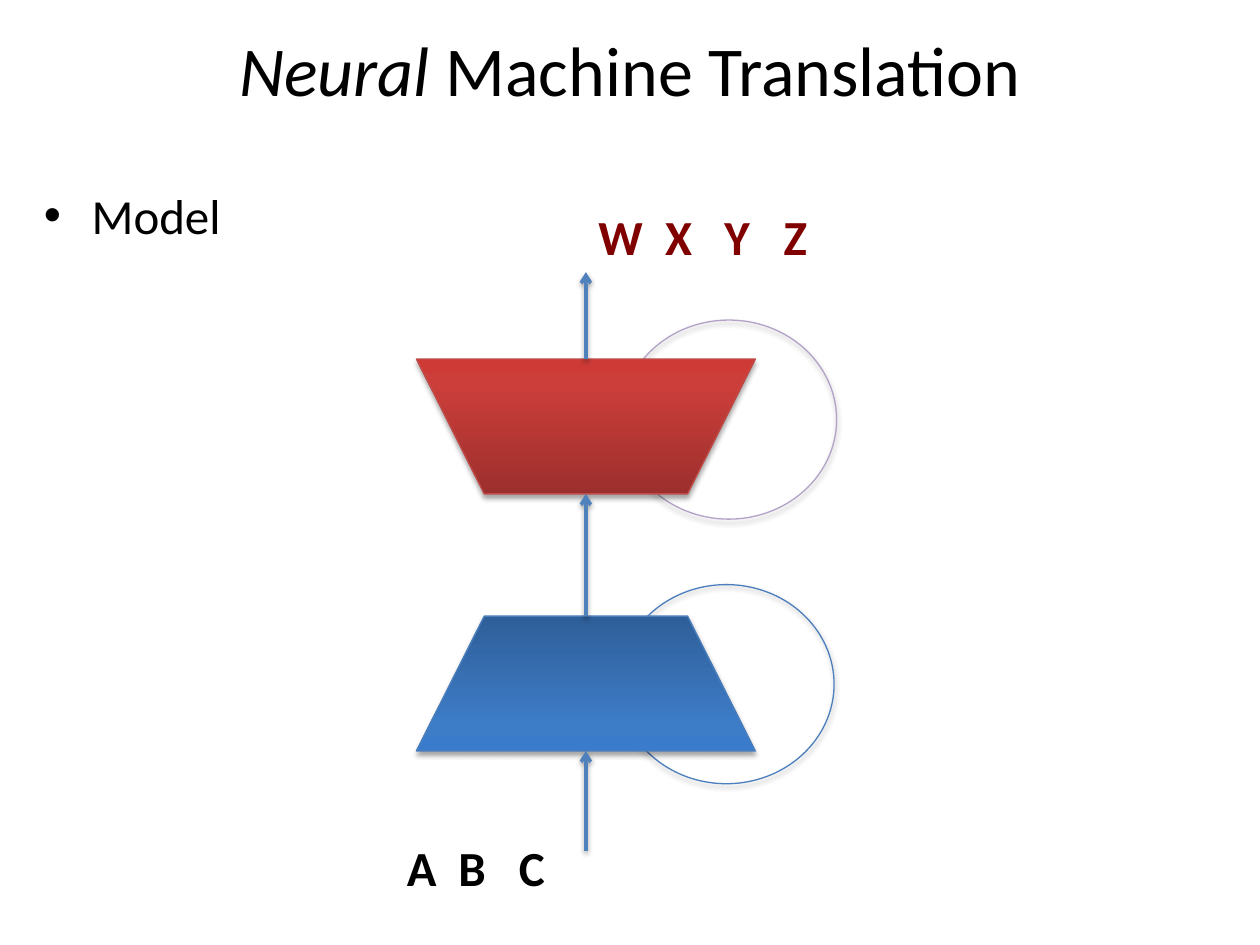
from lxml import etree
from pptx import Presentation
from pptx import util as u
from pptx.dml.color import RGBColor
from pptx.enum import shapes, text
from pptx.oxml import ns

# The slide is a grid of 100 columns by 75 rows.
COLS, ROWS = 100, 75
CELL = u.Inches(0.1)
AXIS = 46.5  # column of the arrows

THEME = {
    "font": "Calibri",
    "title": 40,
    "body": 28,
    "ink": "000000",
    "output": "800000",
    "arrow": "4F81BD",
    "blue": "4B7EBC",
    "red": "BF4C48",
    "lilac": "B3A2C7",
    "blues": [(0, "2F5F99"), (80, "3D7CC7"), (100, "3A7CCB")],
    "reds": [(0, "9C2F2D"), (80, "CB3E3A"), (100, "CE3B37")],
}


def cells(*sizes):
    return [round(size * CELL) for size in sizes]


def child(parent, tag, **attrs):
    node = etree.SubElement(parent, ns.qn(tag))
    for name, value in attrs.items():
        node.set(name, str(value))
    return node


def tint(parent, color, alpha=None):
    node = child(parent, "a:srgbClr", val=color)
    if alpha:
        child(node, "a:alpha", val=alpha * 1000)


def outline(item, color, width):
    item.line.color.rgb = RGBColor.from_string(color)
    item.line.width = u.Pt(width)


def shade(item, alpha, drop):
    """Add a soft shadow straight below the item."""
    effects = child(item._element.spPr, "a:effectLst")
    outer = child(effects, "a:outerShdw", blurRad=u.Pt(3.1), dist=u.Pt(drop),
                  dir=90 * 60000, rotWithShape=0)
    tint(outer, "000000", alpha)


def blend(shape, stops):
    """Fill from the bottom upward through the given stops."""
    shape.fill.gradient()
    shape.fill.gradient_angle = 90
    ramp = shape._element.spPr.find(".//" + ns.qn("a:gsLst"))
    for old in list(ramp):
        ramp.remove(old)
    for spot, color in stops:
        tint(child(ramp, "a:gs", pos=spot * 1000), color)


def add_form(slide, kind, box, color, stops=None, turn=0):
    shape = slide.shapes.add_shape(kind, *cells(*box))
    shape.rotation = turn
    if stops:
        blend(shape, stops)
    else:
        shape.fill.background()
    outline(shape, color, 0.75)
    shade(shape, 35, 1.8)
    return shape


def add_arrow(slide, start, end):
    """Draw an upward arrow on the axis between two rows."""
    line = slide.shapes.add_connector(
        shapes.MSO_CONNECTOR.STRAIGHT, *cells(AXIS, start, AXIS, end))
    outline(line, THEME["arrow"], 2)
    child(line.line._get_or_add_ln(), "a:tailEnd", type="arrow")
    shade(line, 38, 1.6)
    return line


def add_text(slide, box, runs, size, color="ink", frame=None):
    """Write runs, each a pair of words and font values, as one paragraph."""
    area = slide.shapes.add_textbox(*cells(*box)).text_frame
    for name, value in {"word_wrap": True, **(frame or {})}.items():
        setattr(area, name, value)
    para = area.paragraphs[0]
    for words, style in runs:
        run = para.add_run()
        run.text = words
        values = {"name": THEME["font"], "size": u.Pt(THEME[size]), **style}
        for name, value in values.items():
            setattr(run.font, name, value)
        run.font.color.rgb = RGBColor.from_string(THEME[color])
    return para


def add_bullet(para, indent):
    props = para._p.get_or_add_pPr()
    props.set("marL", str(indent))
    props.set("indent", str(-indent))
    child(props, "a:buFont", typeface="Arial")
    child(props, "a:buChar", char="•")


def add_tokens(slide, box, tokens, stops, color):
    """Write tokens in bold, each set at its own tab stop."""
    para = add_text(slide, box, [("\t".join(tokens), {"bold": True})],
                    "body", color)
    tabs = child(para._p.get_or_add_pPr(), "a:tabLst")
    for stop in cells(*stops):
        child(tabs, "a:tab", pos=stop, algn="l")


def main():
    deck = Presentation()
    deck.slide_width, deck.slide_height = cells(COLS, ROWS)
    slide = deck.slides.add_slide(deck.slide_layouts[6])
    kind = shapes.MSO_SHAPE

    for left, top, color in ((49.3, 25.4, "lilac"), (49.1, 46.4, "blue")):
        add_form(slide, kind.OVAL, (left, top, 17.1, 15.8), THEME[color])

    title = add_text(
        slide, (0, 0, COLS, 10.8),
        [("Neural ", {"italic": True}), ("Machine Translation", {})],
        "title", frame={"vertical_anchor": text.MSO_ANCHOR.MIDDLE})
    title.alignment = text.PP_ALIGN.CENTER
    point = add_text(slide, (2.5, 14.2, COLS - 5, 57.5), [("Model", {})], "body")
    add_bullet(point, u.Inches(0.38))

    wide, high = 26.9, 10.7
    left = AXIS - wide / 2
    low, top = 48.9, 28.5
    add_form(slide, kind.FLOWCHART_MANUAL_OPERATION, (left, low, wide, high),
             THEME["blue"], THEME["blues"], 180)
    decoder = add_form(slide, kind.FLOWCHART_MANUAL_OPERATION,
                       (left, top, wide, high), THEME["red"], THEME["reds"])

    add_arrow(slide, low, top + high).end_connect(decoder, 2)
    add_arrow(slide, 67.5, low + high)
    add_arrow(slide, top, 21.6).begin_connect(decoder, 0)

    add_tokens(slide, (31.3, 66, 15.2, 5.7), "ABC", (4.1, 8.9), "ink")
    add_tokens(slide, (AXIS, 15.9, 19.8, 5.7), "WXYZ", (5.3, 10, 14.7),
               "output")
    deck.save("out.pptx")


if __name__ == "__main__":
    main()
